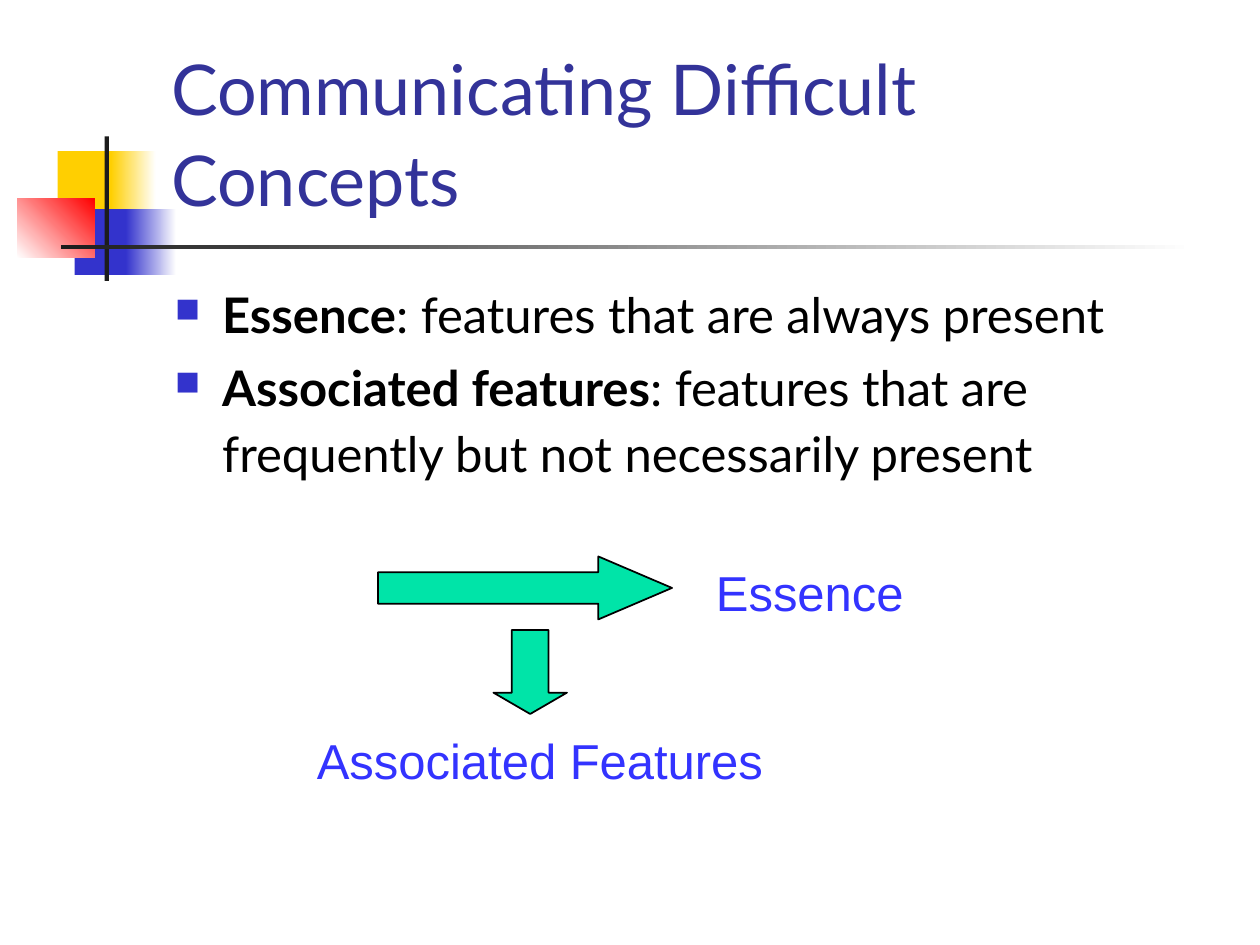
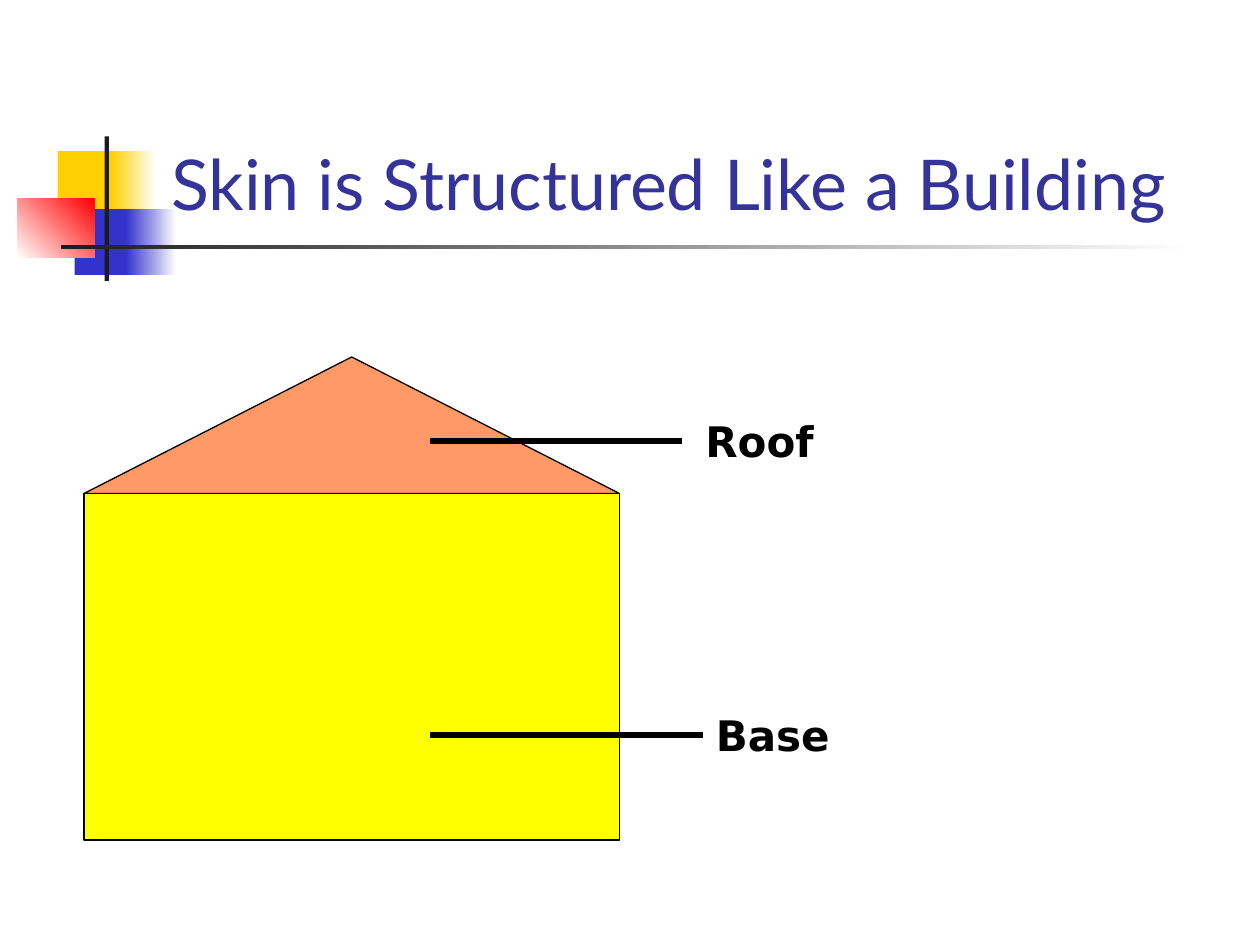
from lxml import etree
from pptx import Presentation
from pptx.dml.color import RGBColor
from pptx.enum.shapes import MSO_CONNECTOR as Link, MSO_SHAPE as Shape
from pptx.enum.text import MSO_ANCHOR as Anchor, MSO_AUTO_SIZE as AutoSize, PP_ALIGN as Align
from pptx.oxml.ns import qn
from pptx.util import Pt

COLORS = {
    "white": "FFFFFF",
    "black": "000000",
    "rule": "1C1C1C",
    "gold": "FFCF01",
    "blue": "3333CC",
    "red": "FF0000",
    "title": "333399",
    "label": "3333FF",
    "arrow": "00E4A8",
    "roof": "FF9966",
    "base": "FFFF00",
}


def rgb(name):
    return RGBColor.from_string(COLORS[name])


def points(*lengths):
    return [Pt(length) for length in lengths]


def set_font(target, family, size, color, bold=False):
    font = target.font
    font.name = family
    font.size = Pt(size)
    font.color.rgb = rgb(color)
    font.bold = bold


def add_filled(slide, kind, place, colors, angle=0, line_width=None, adjustments=()):
    shape = slide.shapes.add_shape(kind, *points(*place))
    shape.shadow.inherit = False
    for index, value in enumerate(adjustments):
        shape.adjustments[index] = value
    if len(colors) == 1:
        shape.fill.solid()
        shape.fill.fore_color.rgb = rgb(colors[0])
    else:
        shape.fill.gradient()
        shape.fill.gradient_angle = angle
        for stop, color in zip(shape.fill.gradient_stops, colors):
            stop.color.rgb = rgb(color)
    if line_width:
        shape.line.color.rgb = rgb("black")
        shape.line.width = Pt(line_width)
    else:
        shape.line.fill.background()
    return shape


def prepare_frame(shape, anchor=Anchor.TOP):
    frame = shape.text_frame
    frame.word_wrap = True
    frame.auto_size = AutoSize.NONE
    frame.vertical_anchor = anchor
    frame.margin_left = frame.margin_right = Pt(7.2)
    frame.margin_top = frame.margin_bottom = Pt(3.6)
    return frame


def add_label(slide, text, place, family, size, color, bold=False):
    box = slide.shapes.add_textbox(*points(*place))
    para = prepare_frame(box).paragraphs[0]
    para.text = text
    set_font(para, family, size, color, bold)
    return box


def add_bullet(para):
    properties = para._p.get_or_add_pPr()
    properties.set("marL", str(Pt(27)))
    properties.set("indent", str(-Pt(27)))
    color = etree.SubElement(properties, qn("a:buClr"))
    etree.SubElement(color, qn("a:srgbClr"), val=COLORS["blue"])
    etree.SubElement(properties, qn("a:buSzPct"), val="70000")
    etree.SubElement(properties, qn("a:buChar"), char="■")


def add_definitions(slide, place, definitions):
    box = slide.shapes.add_textbox(*points(*place))
    frame = prepare_frame(box)
    for index, (term, meaning) in enumerate(definitions):
        para = frame.add_paragraph() if index else frame.paragraphs[0]
        add_bullet(para)
        if index:
            para.space_before = Pt(4)
            para.line_spacing = 1.12
        set_font(para, "Lato", 28, "black")
        span = para.add_run()
        span.text = term
        span.font.bold = True
        para.add_run().text = meaning


def add_pointer(slide, left, right, y, label=None):
    pointer = slide.shapes.add_connector(Link.STRAIGHT, *points(left, y, right, y))
    pointer.line.color.rgb = rgb("black")
    pointer.line.width = Pt(3)
    etree.SubElement(pointer._element.spPr, qn("a:effectLst"))
    if label is not None:
        pointer.end_connect(label, 1)


def decorate_layout(layout, slide):
    blocks = [
        ((33, 86.4, 34.6, 37.4), ["gold"], 0),
        ((63.4, 86.4, 25.6, 37.4), ["gold", "white"], 0),
        ((42.6, 119.6, 33, 37.6), ["blue"], 0),
        ((72, 119.6, 28.8, 37.6), ["blue", "white"], 0),
        ((9.8, 113.6, 44.4, 33.6), ["white", "red"], 45),
        ((59.8, 78, 2.5, 82.6), ["rule"], 0),
        ((34.6, 140, 648, 2.5), ["rule", "white"], 0),
    ]
    for place, colors, angle in blocks:
        block = add_filled(slide, Shape.RECTANGLE, place, colors, angle)
        layout.shapes.element.append(block.element)


def add_titled_slide(deck, layout, text, anchor, line_spacing=1.0):
    slide = deck.slides.add_slide(layout)
    title = slide.shapes.title
    title.left, title.top, title.width, title.height = points(90.7, 16.6, 613.4, 115.2)
    para = prepare_frame(title, anchor).paragraphs[0]
    para.text = text
    para.alignment = Align.LEFT
    para.line_spacing = line_spacing
    set_font(para, "Lato", 40, "title")
    return slide


def fill_concepts(slide):
    add_definitions(slide, (92.9, 159.1, 612, 324), [
        ("Essence", ": features that are always present"),
        ("Associated features", ": features that are frequently but not necessarily present"),
    ])
    add_label(slide, "Essence", (402, 318, 134, 40.3), "Arial", 28, "label")
    add_label(slide, "Associated Features", (174, 414, 302, 40.3), "Arial", 28, "label")
    add_filled(slide, Shape.RIGHT_ARROW, (216, 318, 168, 36), ["arrow"],
               line_width=1, adjustments=(0.5, 1.17))
    add_filled(slide, Shape.DOWN_ARROW, (282, 360, 42, 48), ["arrow"],
               line_width=1, adjustments=(0.5, 0.29))


def fill_building(slide):
    left, width, eaves = 48, 306, 282
    add_filled(slide, Shape.ISOSCELES_TRIANGLE, (left, eaves - 78, width, 78),
               ["roof"], line_width=0.75)
    add_filled(slide, Shape.RECTANGLE, (left, eaves, width, 198),
               ["base"], line_width=0.75)
    add_label(slide, "Roof", (396, 234, 78, 36), "DejaVu Sans", 24, "black", True)
    base_label = add_label(slide, "Base", (402, 402, 222, 36), "DejaVu Sans", 24, "black", True)
    add_pointer(slide, 246, 390, 252)
    add_pointer(slide, 246, 402, 420, base_label)


def main():
    deck = Presentation()
    deck.slide_width, deck.slide_height = points(720, 540)
    layout = deck.slide_layouts[5]
    concepts = add_titled_slide(deck, layout, "Communicating Difficult Concepts", Anchor.MIDDLE, 1.08)
    decorate_layout(layout, concepts)
    fill_concepts(concepts)
    building = add_titled_slide(deck, layout, "Skin is Structured Like a Building", Anchor.BOTTOM)
    fill_building(building)
    deck.save("out.pptx")


if __name__ == "__main__":
    main()
